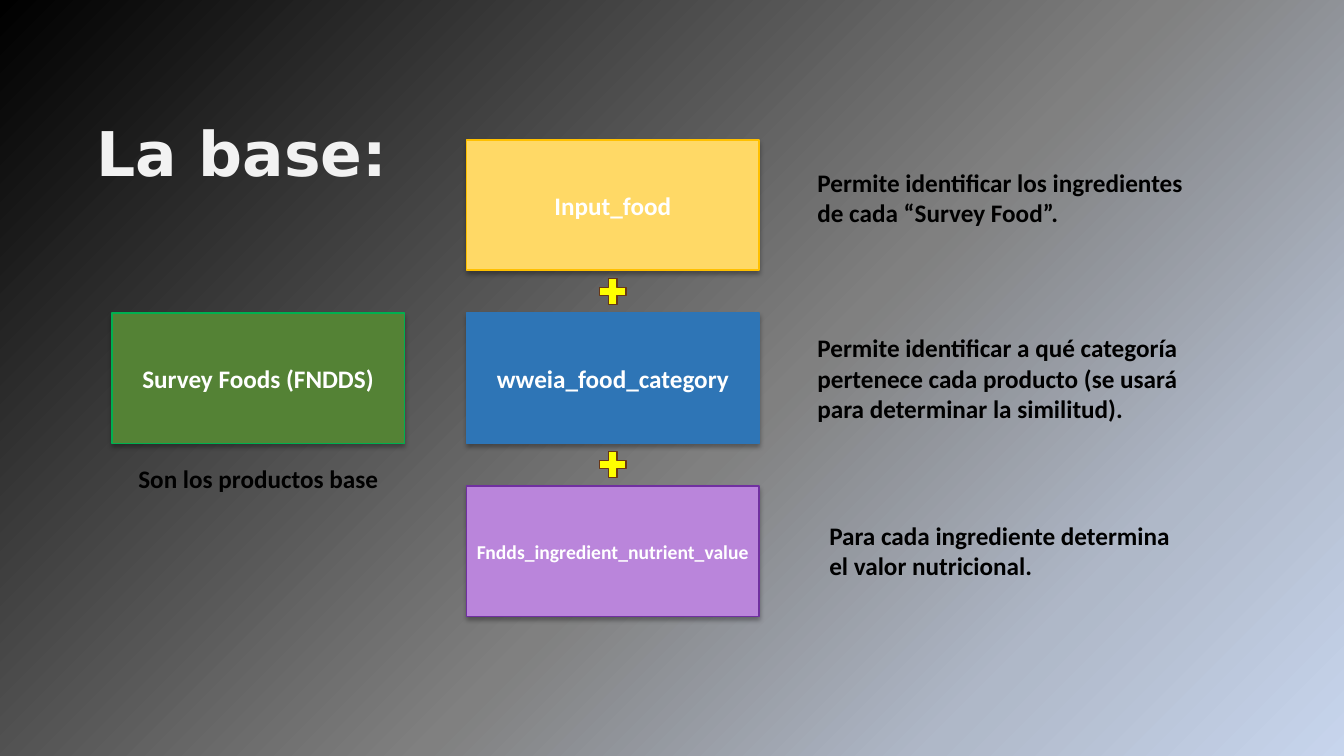
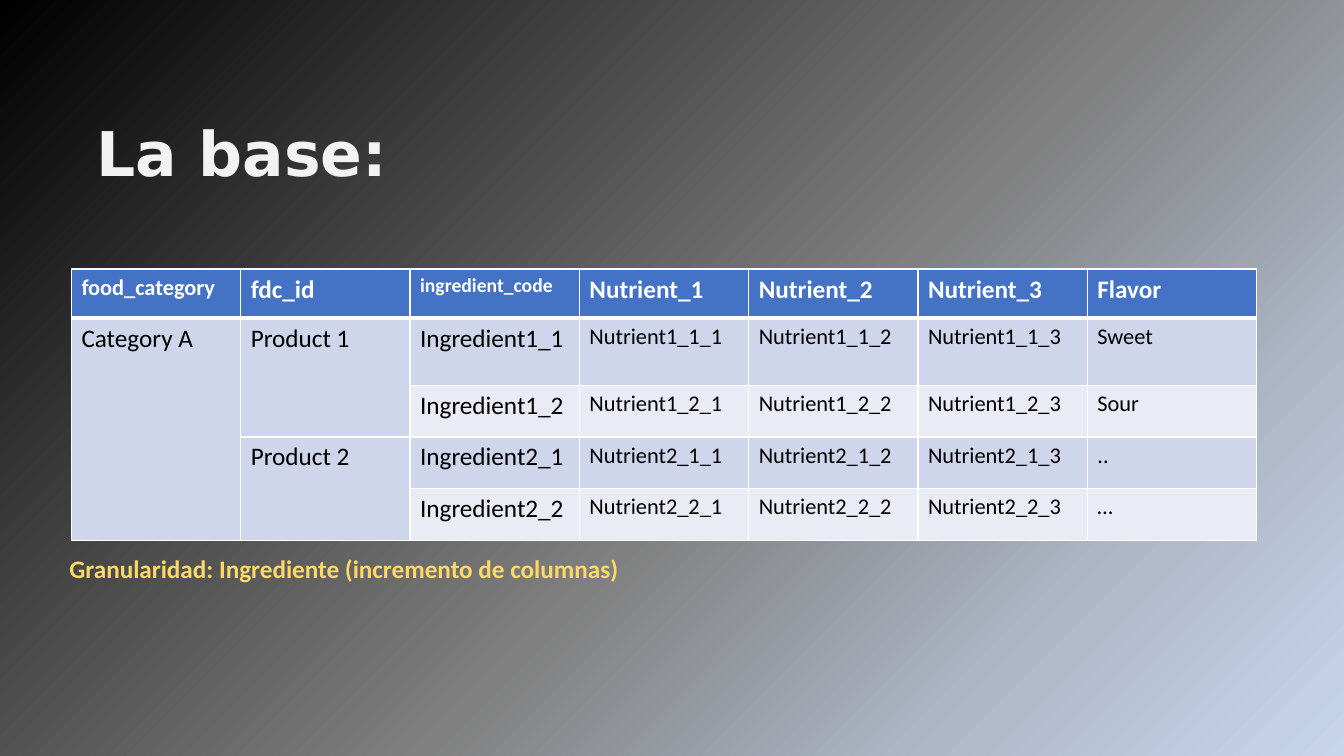
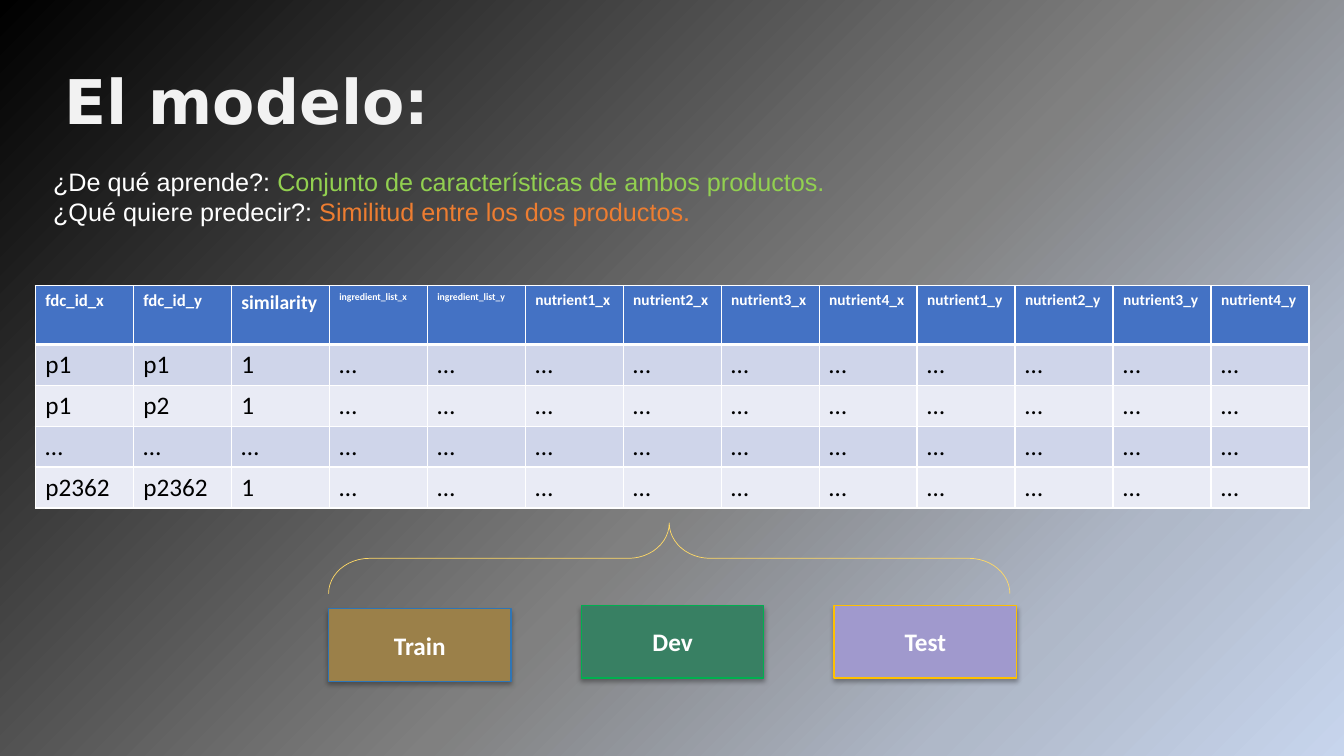
from lxml.etree import SubElement
from pptx import Presentation
from pptx.dml.color import RGBColor
from pptx.enum.shapes import MSO_SHAPE
from pptx.enum.text import MSO_ANCHOR, PP_ALIGN
from pptx.oxml.ns import qn
from pptx.util import Cm, Pt

# Shared look
BODY_FONT, TITLE_FONT, QUESTION_FONT = "Calibri", "DejaVu Sans", "Arial"
WHITE, BLACK, TITLE_GREY = "FFFFFF", "000000", "F2F2F2"
GOLD, AMBER, BLUE, GREEN = "FFD966", "FFC000", "2E75B6", "00B050"
HEADER_FILL, BAND_FILLS = "4472C4", ("CFD5EA", "E9EBF5")
BACKGROUND_STOPS = ((0, "000000"), (56, "808080"), (80, "AFB8C8"), (100, "C7D5ED"))


def color(hex_code):
    return RGBColor.from_string(hex_code)


def place(left, top, width, height):
    return Cm(left), Cm(top), Cm(width), Cm(height)


def style_run(run, size, hex_code, bold=True, font=BODY_FONT):
    run.font.name = font
    run.font.size = Pt(size)
    run.font.bold = bold
    run.font.color.rgb = color(hex_code)


def add_background(master):
    fill = master.background.fill
    fill.gradient()
    fill.gradient_angle = 315
    stops = master.element.find(".//" + qn("a:gsLst"))
    for stop in list(stops):
        stops.remove(stop)
    for position, hex_code in BACKGROUND_STOPS:
        stop = SubElement(stops, qn("a:gs"), pos=str(position * 1000))
        SubElement(stop, qn("a:srgbClr"), val=hex_code)


def add_text(slide, box, text, size=18, hex_code=BLACK, font=BODY_FONT, align=PP_ALIGN.LEFT):
    frame = slide.shapes.add_textbox(*place(*box)).text_frame
    frame.word_wrap = True
    frame.text = text
    frame.paragraphs[0].alignment = align
    style_run(frame.paragraphs[0].runs[0], size, hex_code, font=font)


def add_title(slide, left, top, text):
    add_text(slide, (left, top, 14.76, 2.13), text, 44, TITLE_GREY, TITLE_FONT)


def add_outlined(slide, preset, box, fill, line, line_width=1):
    shape = slide.shapes.add_shape(preset, *place(*box))
    shape.shadow.inherit = False
    if fill:
        shape.fill.solid()
        shape.fill.fore_color.rgb = color(fill)
    else:
        shape.fill.background()
    shape.line.color.rgb = color(line)
    shape.line.width = Pt(line_width)
    return shape


def add_card(slide, box, text, fill, line, size=18):
    card = add_outlined(slide, MSO_SHAPE.RECTANGLE, box, fill, line)
    # Soft shadow below the card
    effects = card.element.spPr.find(qn("a:effectLst"))
    shadow = SubElement(effects, qn("a:outerShdw"), blurRad=str(Pt(3.5)), dist=str(Pt(2.2)),
                        dir="5400000", algn="t", rotWithShape="0")
    shade = SubElement(shadow, qn("a:srgbClr"), val=BLACK)
    SubElement(shade, qn("a:alpha"), val="32000")
    frame = card.text_frame
    frame.word_wrap = True
    frame.vertical_anchor = MSO_ANCHOR.MIDDLE
    frame.text = text
    frame.paragraphs[0].alignment = PP_ALIGN.CENTER
    style_run(frame.paragraphs[0].runs[0], size, WHITE)


def style_cell(cell, text, size, hex_code, bold, fill, top=1, bottom=1):
    properties = cell._tc.get_or_add_tcPr()
    for side, width in (("L", 1), ("R", 1), ("T", top), ("B", bottom)):
        border = SubElement(properties, qn(f"a:ln{side}"), w=str(Pt(width)))
        paint = SubElement(border, qn("a:solidFill"))
        SubElement(paint, qn("a:srgbClr"), val=WHITE)
    cell.fill.solid()
    cell.fill.fore_color.rgb = color(fill)
    if text:
        cell.text = text
        style_run(cell.text_frame.paragraphs[0].runs[0], size, hex_code, bold)


def add_data_table(slide, box, row_heights, headers, rows, body_sizes, merges=()):
    """headers holds (text, size) pairs; merges holds (first row, last row, column)."""
    table = slide.shapes.add_table(len(rows) + 1, len(headers), *place(*box)).table
    for column in table.columns:
        column.width = Cm(box[2] / len(headers))
    for row, height in zip(table.rows, row_heights):
        row.height = Cm(height)
    for c, (text, size) in enumerate(headers):
        style_cell(table.cell(0, c), text, size, WHITE, True, HEADER_FILL, bottom=3)
    for r, values in enumerate(rows, 1):
        for c, (text, size) in enumerate(zip(values, body_sizes)):
            style_cell(table.cell(r, c), text, size, BLACK, False,
                       BAND_FILLS[(r - 1) % 2], top=3 if r == 1 else 1)
    for first, last, c in merges:
        table.cell(first, c).merge(table.cell(last, c))


def add_source_stack(slide, left, top):
    """Three stacked tables joined by plus signs, each with its explanation."""
    width, height, pitch = 7.37, 3.28, 4.36
    plus_width, plus_height = 0.91, 0.89
    # name, size, fill, line, then explanation: text, offset from the stack, width
    sources = (
        ("Input_food", 18, GOLD, AMBER,
         "Permite identificar los ingredientes de cada “Survey Food”.", 8.59, 0.56, 10.08),
        ("wweia_food_category", 18, BLUE, BLUE,
         "Permite identificar a qué categoría pertenece cada producto "
         "(se usará para determinar la similitud).", 8.59, 4.73, 10.08),
        ("Fndds_ingredient_nutrient_value", 14, "BA85DB", "7030A0",
         "Para cada ingrediente determina el valor nutricional.", 8.89, 9.45, 9.45),
    )
    for i, (name, size, fill, line, note, dx, dy, note_width) in enumerate(sources):
        card_top = top + i * pitch
        add_card(slide, (left, card_top, width, height), name, fill, line, size)
        add_text(slide, (left + dx, top + dy, note_width, 1.8), note)
        if i:
            gap_middle = card_top - (pitch - height) / 2
            add_outlined(slide, MSO_SHAPE.MATH_PLUS,
                         (left + (width - plus_width) / 2, gap_middle - plus_height / 2,
                          plus_width, plus_height), "FFFF00", "683715")


def add_questions(slide, box):
    questions = (
        ("¿De qué aprende?: ", "Conjunto de características de ambos productos.", "92D050"),
        ("¿Qué quiere predecir?: ", "Similitud entre los dos productos.", "ED7D31"),
    )
    frame = slide.shapes.add_textbox(*place(*box)).text_frame
    frame.word_wrap = True
    for i, (question, answer, answer_color) in enumerate(questions):
        paragraph = frame.add_paragraph() if i else frame.paragraphs[0]
        for text, hex_code in ((question, WHITE), (answer, answer_color)):
            run = paragraph.add_run()
            run.text = text
            style_run(run, 18, hex_code, False, QUESTION_FONT)


def add_split(slide, left, top, width):
    """Brace over the three data sets."""
    brace_height = 1.78
    # The brace is upright before its quarter turn
    brace = add_outlined(slide, MSO_SHAPE.LEFT_BRACE,
                         (left + (width - brace_height) / 2, top + (brace_height - width) / 2,
                          brace_height, width), None, GOLD, 0.5)
    brace.rotation = 90
    brace.adjustments[0] = 0.58
    sets = (("Train", "9B8049", BLUE, 2.16), ("Dev", "388063", GREEN, 2.08),
            ("Test", "A099CD", AMBER, 2.08))
    for i, (name, fill, line, dy) in enumerate(sets):
        add_card(slide, (left + i * 6.37, top + dy, 4.6, 1.83), name, fill, line)


def build_sources_slide(slide):
    add_title(slide, 2.18, 2.78, "La base:")
    add_card(slide, (2.82, 7.89, 7.37, 3.28), "Survey Foods (FNDDS)", "548235", GREEN)
    add_text(slide, (1.47, 11.56, 10.08, 1.02), "Son los productos base", align=PP_ALIGN.CENTER)
    add_source_stack(slide, 11.76, 3.53)


def build_base_slide(slide):
    add_title(slide, 2.18, 2.78, "La base:")
    headers = [("food_category", 16), ("fdc_id", 18), ("ingredient_code", 14)]
    headers += [(f"Nutrient_{n}", 18) for n in (1, 2, 3)] + [("Flavor", 18)]
    flavors = iter(("Sweet", "Sour", "..", "…"))
    rows = []
    for product in (1, 2):
        for ingredient in (1, 2):
            code = f"{product}_{ingredient}"
            rows.append(["Category A" if not rows else "",
                         f"Product {product}" if ingredient == 1 else "",
                         f"Ingredient{code}",
                         *(f"Nutrient{code}_{n}" for n in (1, 2, 3)), next(flavors)])
    add_data_table(slide, (1.8, 6.78, 29.87, 6.83), (1.24, 1.69, 1.3, 1.3, 1.3), headers, rows,
                   [18] * 3 + [16] * 4, ((1, 4, 0), (1, 2, 1), (3, 4, 1)))
    add_text(slide, (1.5, 13.82, 16.94, 1.02),
             "Granularidad: Ingrediente (incremento de columnas)", hex_code=GOLD)


def build_model_slide(slide):
    add_title(slide, 1.37, 1.46, "El modelo:")
    add_questions(slide, (1.09, 4.06, 22.17, 1.8))
    headers = [("fdc_id_x", 12), ("fdc_id_y", 12), ("similarity", 14)]
    headers += [(f"ingredient_list_{side}", 7) for side in "xy"]
    headers += [(f"nutrient{n}_{side}", 11) for side in "xy" for n in (1, 2, 3, 4)]
    pairs = (("p1", "p1", "1"), ("p1", "p2", "1"), ("…", "…", "…"), ("p2362", "p2362", "1"))
    rows = [[*pair, *["…"] * 10] for pair in pairs]
    add_data_table(slide, (0.89, 7.2, 32.11, 5.6), (1.48, 1.03, 1.03, 1.03, 1.03),
                   headers, rows, [18] * 13)
    add_split(slide, 8.28, 13.18, 17.17)


def main():
    prs = Presentation()
    prs.slide_width, prs.slide_height = Cm(33.87), Cm(19.05)
    add_background(prs.slide_master)
    for build in (build_sources_slide, build_base_slide, build_model_slide):
        build(prs.slides.add_slide(prs.slide_layouts[6]))
    prs.save("out.pptx")


if __name__ == "__main__":
    main()
